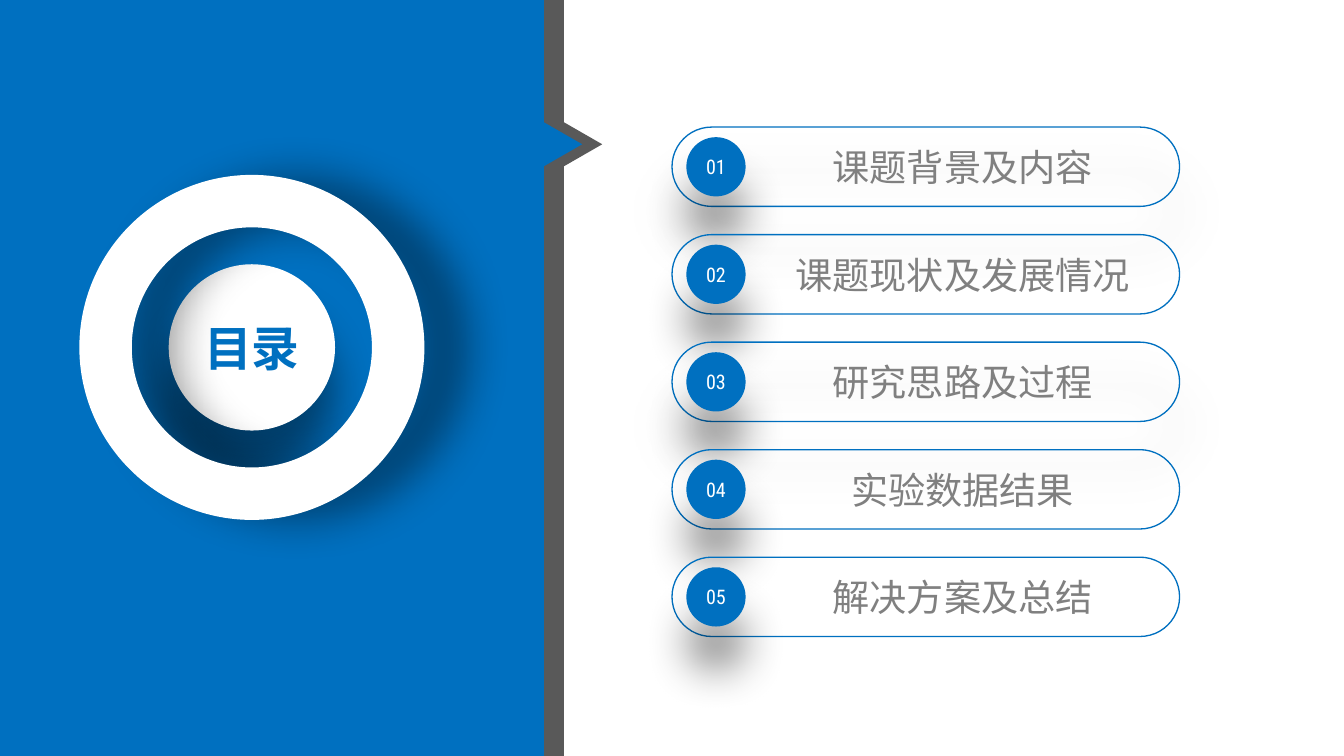
from lxml import etree
from pptx import Presentation, util as u
from pptx.dml.color import RGBColor
from pptx.enum import shapes, text
from pptx.enum.lang import MSO_LANGUAGE_ID
from pptx.oxml import ns

WIDE, HIGH = 14.06, 7.91
FACE = "Roboto Condensed"
HUES = {"blue": "0070C0", "gray": "595959", "text": "808080", "white": "FFFFFF", "shade": "000000"}
KIND = shapes.MSO_SHAPE
ITEMS = ["课题背景及内容", "课题现状及发展情况", "研究思路及过程", "实验数据结果", "解决方案及总结"]


def hue(name):
    return RGBColor.from_string(HUES[name])


def node(host, tag, **attrs):
    return etree.SubElement(host, ns.qn(tag), attrs)


def shade(shape, alpha, turn):
    shape.shadow.inherit = False
    effects = shape._element.spPr.find(ns.qn("a:effectLst"))
    size = str(u.Pt(33))
    outer = node(effects, "a:outerShdw", blurRad=size, dist=size,
                 dir=str(turn * 60000), algn="ctr", rotWithShape="0")
    color = node(outer, "a:srgbClr", val=HUES["shade"])
    node(color, "a:alpha", val=str(alpha * 1000))


def draw(host, kind, box, fill=None, line=None):
    shape = host.add_shape(kind, *map(u.Inches, box))
    shape.shadow.inherit = False
    if fill:
        shape.fill.solid()
        shape.fill.fore_color.rgb = hue(fill)
    else:
        shape.fill.background()
    if line:
        shape.line.color.rgb = hue(line)
        shape.line.width = u.Pt(1)
    else:
        shape.line.fill.background()
    return shape


def write(shape, words, size, color, bold=False, wrap=True):
    frame = shape.text_frame
    look = {"word_wrap": wrap, "auto_size": text.MSO_AUTO_SIZE.NONE,
            "vertical_anchor": text.MSO_ANCHOR.MIDDLE, "margin_left": 0,
            "margin_right": 0, "margin_top": 0, "margin_bottom": 0}
    for key, value in look.items():
        setattr(frame, key, value)
    para = frame.paragraphs[0]
    para.alignment = text.PP_ALIGN.CENTER
    run = para.add_run()
    run.text = words
    look = {"name": FACE, "size": u.Pt(size), "bold": bold,
            "language_id": MSO_LANGUAGE_ID.SIMPLIFIED_CHINESE}
    for key, value in look.items():
        setattr(run.font, key, value)
    run.font.color.rgb = hue(color)
    node(run.font._element, "a:ea", typeface=FACE)


def entry(slide, box, count, words):
    left, top, wide, high = box
    group = slide.shapes.add_group_shape().shapes
    pill = draw(group, KIND.ROUNDED_RECTANGLE, box, line="blue")
    pill.adjustments[0] = 0.5
    if count in (1, 3):
        shade(pill, 43, 90)
    side = 0.62
    disc = draw(group, KIND.OVAL, (left + 0.15, top + (high - side) / 2, side, side), "blue")
    shade(disc, 43, 90)
    write(disc, f"{count:02}", 15.1, "white")
    span = 3.7
    label = group.add_textbox(*map(u.Inches, (left + 1.19, top + 0.18, span, high - 0.36)))
    write(label, words, 28, "text", wrap=False)


def agenda(slide, box):
    left, top, wide, high = box
    tall = 0.83
    step = (high - tall) / (len(ITEMS) - 1)
    for index, words in enumerate(ITEMS):
        entry(slide, (left, top + index * step, wide, tall), index + 1, words)


def band(slide, box, color):
    left, top, wide, high = box
    group = slide.shapes.add_group_shape().shapes
    base, rise = 0.46, 0.4
    mark = draw(group, KIND.ISOSCELES_TRIANGLE,
                (left + wide + (rise - base) / 2, top + 1.31, base, rise), color)
    mark.rotation = 90
    draw(group, KIND.RECTANGLE, box, color)


def badge(slide, box):
    left, top, side, _ = box
    inner = 1.74
    inset = (side - inner) / 2
    core = (left + inset, top + inset, inner, inner)
    shade(draw(slide.shapes, KIND.OVAL, core, "white"), 43, 90)
    ring = draw(slide.shapes, KIND.DONUT, box, "white")
    ring.adjustments[0] = 0.152
    shade(ring, 40, 0)
    title = slide.shapes.title
    for key, value in zip(("left", "top", "width", "height"), core):
        setattr(title, key, u.Inches(value))
    write(title, "目录", 36, "blue", bold=True)
    slide.shapes._spTree.append(title._element)


def main():
    deck = Presentation()
    deck.slide_width, deck.slide_height = u.Inches(WIDE), u.Inches(HIGH)
    slide = deck.slides.add_slide(deck.slide_layouts[5])
    agenda(slide, (7.03, 1.33, 5.31, 5.33))
    for left, color in ((0.21, "gray"), (0, "blue")):
        band(slide, (left, 0, 5.69, HIGH), color)
    badge(slide, (0.83, 1.83, 3.61, 3.61))
    deck.save("out.pptx")


if __name__ == "__main__":
    main()
